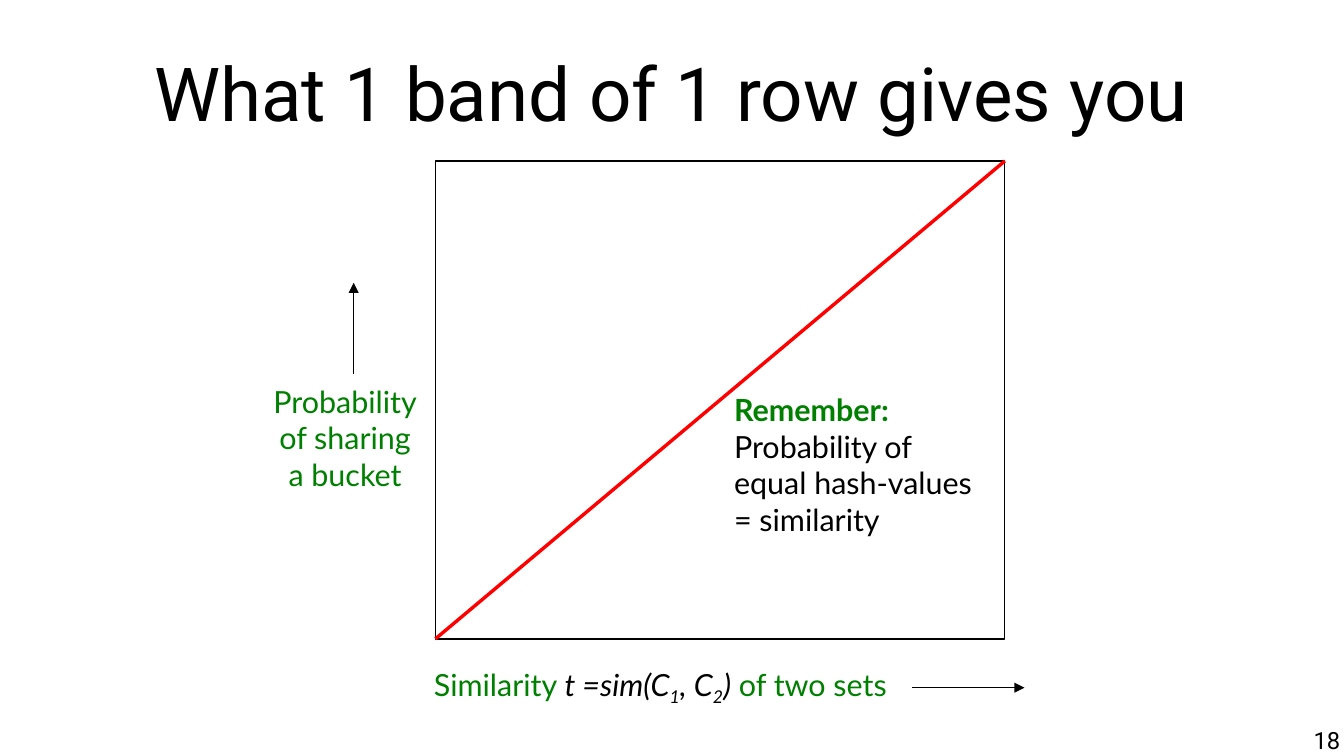
import pptx
import pptx.util
import pptx.dml.color
import pptx.enum.shapes
import pptx.enum.text
import pptx.oxml

Inches = pptx.util.Inches
ALIGN = pptx.enum.text.PP_ALIGN
ANCHOR = pptx.enum.text.MSO_ANCHOR

COLOURS = {"black": "000000", "green": "008000", "red": "FF0000"}
PLOT = {"left": 3.57, "top": 1.32, "right": 8.24, "bottom": 5.24}

LABEL = {"name": "Lato", "size": pptx.util.Pt(18)}
TITLE = {"name": "Roboto", "size": pptx.util.Pt(44)}
NUMBER = {"name": "Roboto", "size": pptx.util.Pt(14)}
ITALIC = LABEL | {"italic": True}
BOLD = LABEL | {"bold": True}


def colour(name):
    return pptx.dml.color.RGBColor.from_string(COLOURS[name])


def add_span(para, text, style, colour_name="black", baseline=None):
    span = para.add_run()
    span.text = text
    for name, value in style.items():
        setattr(span.font, name, value)
    span.font.color.rgb = colour(colour_name)
    if baseline:
        span.font._element.set("baseline", str(baseline * 1000))


def add_text(page, place, paragraphs, align=ALIGN.LEFT, anchor=ANCHOR.TOP,
             insets=(0.1, 0.05), wrap=True):
    box = page.shapes.add_textbox(*map(Inches, place))
    across, down = map(Inches, insets)
    frame = box.text_frame
    settings = {
        "word_wrap": wrap,
        "vertical_anchor": anchor,
        "margin_left": across,
        "margin_right": across,
        "margin_top": down,
        "margin_bottom": down,
    }
    for name, value in settings.items():
        setattr(frame, name, value)
    for index, spans in enumerate(paragraphs):
        para = frame.add_paragraph() if index else frame.paragraphs[0]
        para.alignment = align
        for span in spans:
            add_span(para, *span)


def add_line(page, start, end, colour_name="black", width=0.75, arrow=False):
    line = page.shapes.add_connector(
        pptx.enum.shapes.MSO_CONNECTOR.STRAIGHT, *map(Inches, start + end))
    line.line.color.rgb = colour(colour_name)
    line.line.width = pptx.util.Pt(width)
    properties = line._element.spPr
    if arrow:
        tail = pptx.oxml.parse_xml(
            '<a:tailEnd xmlns:a="http://schemas.openxmlformats.org/'
            'drawingml/2006/main" type="triangle"/>')
        line.line._get_or_add_ln().append(tail)
    properties.append(pptx.oxml.parse_xml(
        '<a:effectLst xmlns:a="http://schemas.openxmlformats.org/'
        'drawingml/2006/main"/>'))


def add_plot(page):
    left, top, right, bottom = PLOT.values()
    frame = page.shapes.add_shape(
        pptx.enum.shapes.MSO_SHAPE.RECTANGLE,
        *map(Inches, (left, top, right - left, bottom - top)))
    frame.shadow.inherit = False
    frame.fill.background()
    frame.line.color.rgb = colour("black")
    frame.line.width = pptx.util.Pt(0.75)
    add_line(page, (left, bottom), (right, top), "red", 2)


def main():
    deck = pptx.Presentation()
    deck.slide_width = Inches(11.02)
    deck.slide_height = Inches(6.2)
    page = deck.slides.add_slide(deck.slide_layouts[6])

    add_text(page, (0.55, 0.01, 9.92, 1.49),
             [[("What 1 band of 1 row gives you", TITLE)]],
             ALIGN.CENTER, ANCHOR.MIDDLE, (0, 0))
    add_plot(page)
    add_text(page, (5.92, 3.16, 2.31, 1.3), [
        [("Remember:", BOLD, "green")],
        [("Probability of", LABEL)],
        [("equal hash-values", LABEL)],
        [("= similarity", LABEL)],
    ], wrap=False)
    add_text(page, (3.46, 5.41, 4.1, 0.44), [[
        ("Similarity ", LABEL, "green"),
        ("t =sim(C", ITALIC),
        ("1", ITALIC, "black", -25),
        (", C", ITALIC),
        ("2", ITALIC, "black", -25),
        (")", ITALIC),
        (" of two sets", LABEL, "green"),
    ]])
    add_text(page, (2.1, 3.09, 1.46, 1), [
        [(text, LABEL, "green")]
        for text in ("Probability", "of sharing", "a bucket")
    ], ALIGN.CENTER, wrap=False)
    add_line(page, (7.48, 5.64), (8.4, 5.64), arrow=True)
    add_line(page, (2.9, 3.07), (2.9, 2.32), arrow=True)
    add_text(page, (8.42, 5.95, 2.57, 0.25), [[("18", NUMBER)]],
             ALIGN.RIGHT, insets=(0, 0))

    deck.save("out.pptx")


if __name__ == "__main__":
    main()
